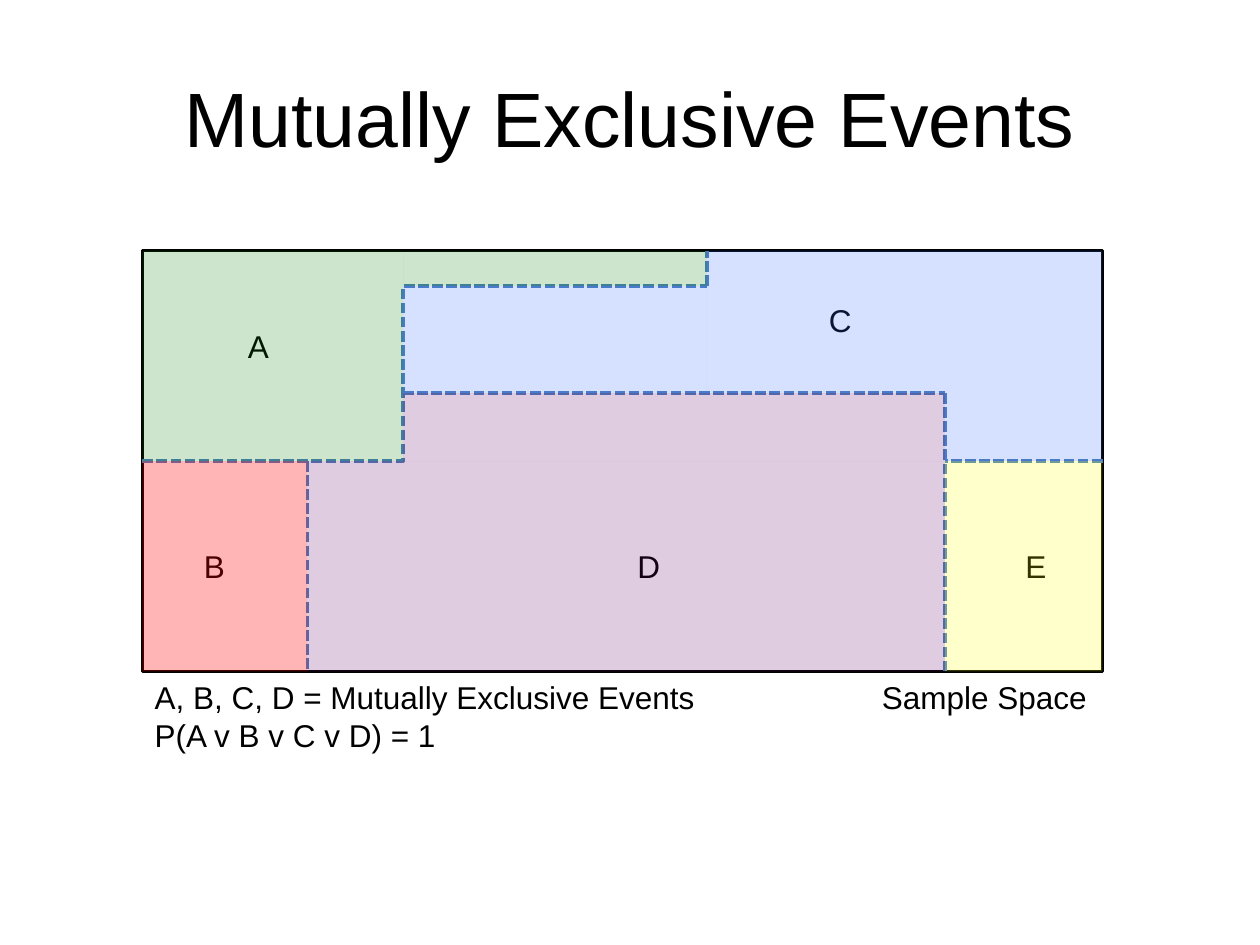
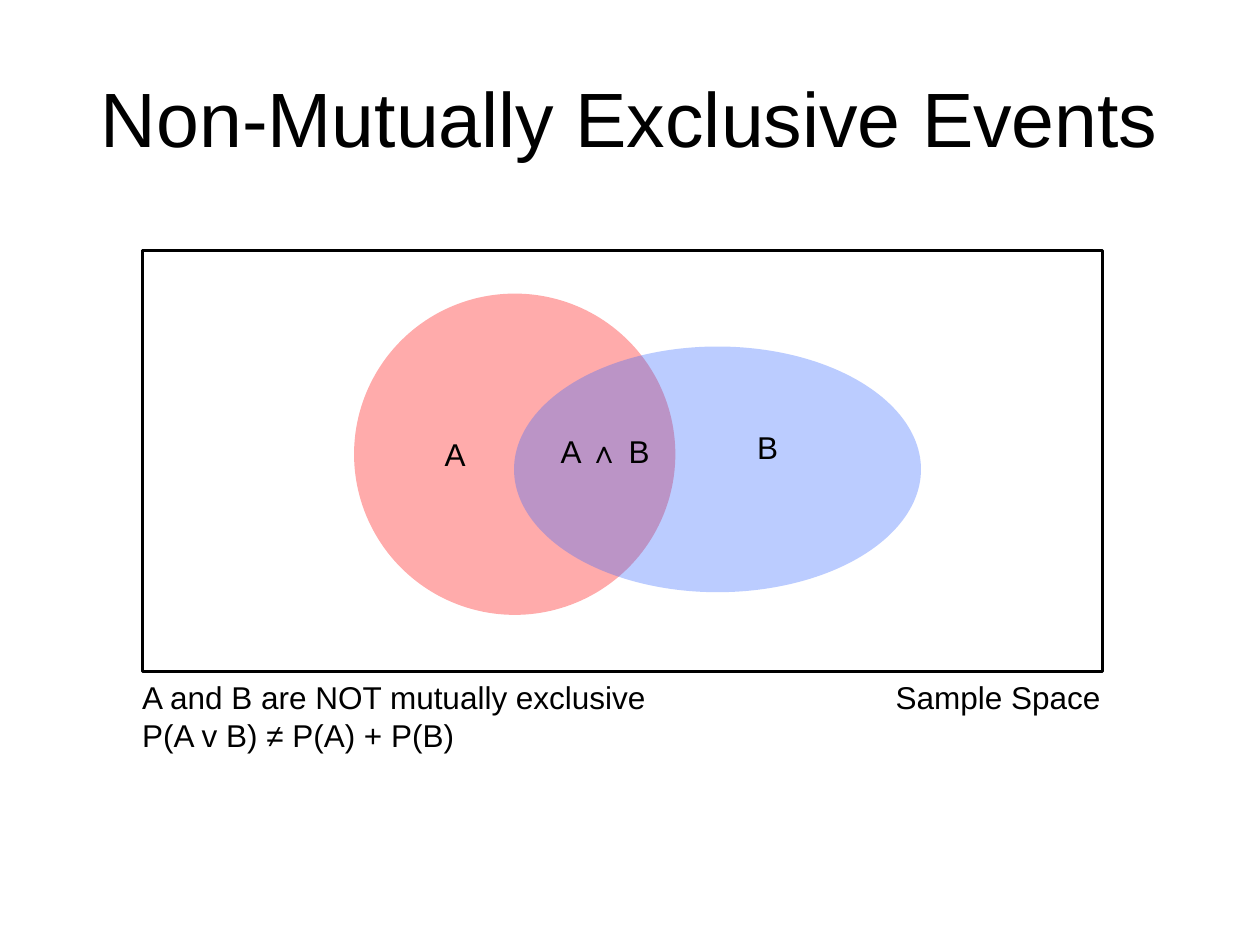
import pptx
import pptx.util
import pptx.dml.color
import pptx.enum.dml
import pptx.enum.shapes
import pptx.enum.text
import pptx.oxml
import pptx.oxml.ns

SHAPES = pptx.enum.shapes.MSO_SHAPE
CONNECTORS = pptx.enum.shapes.MSO_CONNECTOR
FONT = "Arial"
COLOURS = {"ink": "000000", "paper": "FFFFFF", "border": "4F81BD", "red": "FF0000",
           "green": "008000", "blue": "3366FF", "yellow": "FFFF00", "purple": "660066"}

# Grid lines of the sample space, in inches
X = {"left": 1.13, "b": 2.44, "a": 3.2, "c": 5.61, "d": 7.5, "right": 8.75}
Y = {"top": 1.99, "step": 2.27, "d": 3.12, "middle": 3.66, "bottom": 5.33}
LINE_HEIGHT = 0.31

# Regions: colour, opacity in percent, then from and to on the grid
REGIONS = [
    ("red", 29, ("left", "middle"), ("b", "bottom")),
    ("green", 20, ("left", "top"), ("a", "middle")),
    ("green", 20, ("a", "top"), ("c", "step")),
    ("blue", 20, ("a", "step"), ("c", "d")),
    ("blue", 20, ("d", "top"), ("right", "middle")),
    ("blue", 20, ("c", "top"), ("d", "d")),
    ("yellow", 20, ("d", "middle"), ("right", "bottom")),
    ("purple", 20, ("b", "middle"), ("d", "bottom")),
    ("purple", 20, ("a", "d"), ("d", "middle")),
]
STEPPED_BORDER = (("left", "middle"), ("c", "step"))
STRAIGHT_BORDERS = [
    (("c", "step"), ("c", "top")),
    (("a", "d"), ("d", "d")),
    (("d", "d"), ("d", "bottom")),
    (("b", "middle"), ("b", "bottom")),
    (("right", "middle"), ("d", "middle")),
]
# Ellipses: colour, opacity, left, top, width, height
ELLIPSES = [("red", 33, 2.81, 2.33, 2.55, 2.55), ("blue", 33, 4.08, 2.75, 3.23, 1.95)]

# Labels: text, left, top, width
EXCLUSIVE = {
    "title": "Mutually Exclusive Events",
    "space_left": 6.9,
    "labels": [("A", 1.87, 2.55, 0.37), ("B", 1.52, 4.29, 0.38), ("C", 6.48, 2.34, 0.38),
               ("D", 4.96, 4.29, 0.38), ("E", 8.04, 4.29, 0.36)],
    "caption": ("A, B, C, D = Mutually Exclusive Events\nP(A v B v C v D) = 1",
                X["left"], Y["bottom"], 4.54),
}
OVERLAPPING = {
    "title": "Non-Mutually Exclusive Events",
    "space_left": 7.01,
    "labels": [("A", 3.43, 3.4, 0.37), ("B", 5.91, 3.35, 0.38), ("A ∧ B", 4.35, 3.38, 0.95)],
    "caption": ("A and B are NOT mutually exclusive\nP(A v B) ≠ P(A) + P(B)",
                1.03, Y["bottom"], 4.25),
}


def rgb(name):
    """Return the named colour."""
    return pptx.dml.color.RGBColor.from_string(COLOURS[name])


def inches(*lengths):
    """Convert lengths from inches."""
    return [pptx.util.Inches(length) for length in lengths]


def between(start, end):
    """Return left, top, width and height of a grid block."""
    (x1, y1), (x2, y2) = start, end
    return X[x1], Y[y1], X[x2] - X[x1], Y[y2] - Y[y1]


def style_text(para, size):
    """Set the deck's font on a paragraph."""
    para.font.name = FONT
    para.font.size = pptx.util.Pt(size)
    para.font.color.rgb = rgb("ink")


def add_area(page, preset, colour, place):
    """Add a filled shape without an outline."""
    area = page.shapes.add_shape(preset, *inches(*place))
    area.shadow.inherit = False
    area.fill.solid()
    area.fill.fore_color.rgb = rgb(colour)
    area.line.fill.background()
    return area


def add_tint(page, preset, colour, opacity, place):
    """Add a see-through area."""
    area = add_area(page, preset, colour, place)
    value = area.element.spPr.find(".//" + pptx.oxml.ns.qn("a:srgbClr"))
    alpha = pptx.oxml.parse_xml(
        f'<a:alpha {pptx.oxml.ns.nsdecls("a")} val="{opacity * 1000}"/>')
    value.append(alpha)


def add_label(page, text, left, top, width):
    """Add unwrapped text that sizes its own box."""
    lines = text.split("\n")
    height = 0.09 + LINE_HEIGHT * len(lines)
    box = page.shapes.add_textbox(*inches(left, top, width, height))
    frame = box.text_frame
    frame.word_wrap = False
    frame.auto_size = pptx.enum.text.MSO_AUTO_SIZE.SHAPE_TO_FIT_TEXT
    frame.text = text
    for para in frame.paragraphs:
        style_text(para, 18)


def add_border(page, kind, start, end):
    """Add a dashed border between two grid points."""
    (x1, y1), (x2, y2) = start, end
    border = page.shapes.add_connector(kind, *inches(X[x1], Y[y1], X[x2], Y[y2]))
    border.line.color.rgb = rgb("border")
    border.line.width = pptx.util.Pt(2)
    border.line.dash_style = pptx.enum.dml.MSO_LINE.SQUARE_DOT
    border.element.spPr.append(pptx.oxml.parse_xml(
        f'<a:effectLst {pptx.oxml.ns.nsdecls("a")}/>'))
    return border


def add_stepped_border(page):
    """Add the elbow border, bent where region A ends."""
    border = add_border(page, CONNECTORS.ELBOW, *STEPPED_BORDER)
    bend = round((X["a"] - X["left"]) / (X["c"] - X["left"]) * 100000)
    adjustments = border.element.spPr.find(".//" + pptx.oxml.ns.qn("a:avLst"))
    adjustments.append(pptx.oxml.parse_xml(
        f'<a:gd {pptx.oxml.ns.nsdecls("a")} name="adj1" fmla="val {bend}"/>'))


def add_page(deck, content):
    """Add a slide with its title and outlined sample space."""
    page = deck.slides.add_slide(deck.slide_layouts[5])
    title = page.shapes.title
    title.left, title.top, title.width, title.height = inches(0.5, 0.3, 9, 1.25)
    title.text_frame.text = content["title"]
    title.text_frame.vertical_anchor = pptx.enum.text.MSO_ANCHOR.MIDDLE
    para = title.text_frame.paragraphs[0]
    para.alignment = pptx.enum.text.PP_ALIGN.CENTER
    style_text(para, 44)
    space = add_area(page, SHAPES.RECTANGLE, "paper",
                     between(("left", "top"), ("right", "bottom")))
    space.line.color.rgb = rgb("ink")
    space.line.width = pptx.util.Pt(2)
    add_label(page, "Sample Space", content["space_left"], Y["bottom"], 1.85)
    return page


def add_labels(page, content):
    """Add the event names and the caption."""
    for label in content["labels"] + [content["caption"]]:
        add_label(page, *label)


def build_exclusive(deck):
    """Build the slide of events that divide the sample space."""
    page = add_page(deck, EXCLUSIVE)
    add_stepped_border(page)
    for start, end in STRAIGHT_BORDERS:
        add_border(page, CONNECTORS.STRAIGHT, start, end)
    add_labels(page, EXCLUSIVE)
    for colour, opacity, start, end in REGIONS:
        add_tint(page, SHAPES.RECTANGLE, colour, opacity, between(start, end))


def build_overlapping(deck):
    """Build the slide of two events that overlap."""
    page = add_page(deck, OVERLAPPING)
    for colour, opacity, *place in ELLIPSES:
        add_tint(page, SHAPES.OVAL, colour, opacity, place)
    add_labels(page, OVERLAPPING)


deck = pptx.Presentation()
deck.slide_width, deck.slide_height = inches(10, 7.5)
build_exclusive(deck)
build_overlapping(deck)
deck.save("out.pptx")
